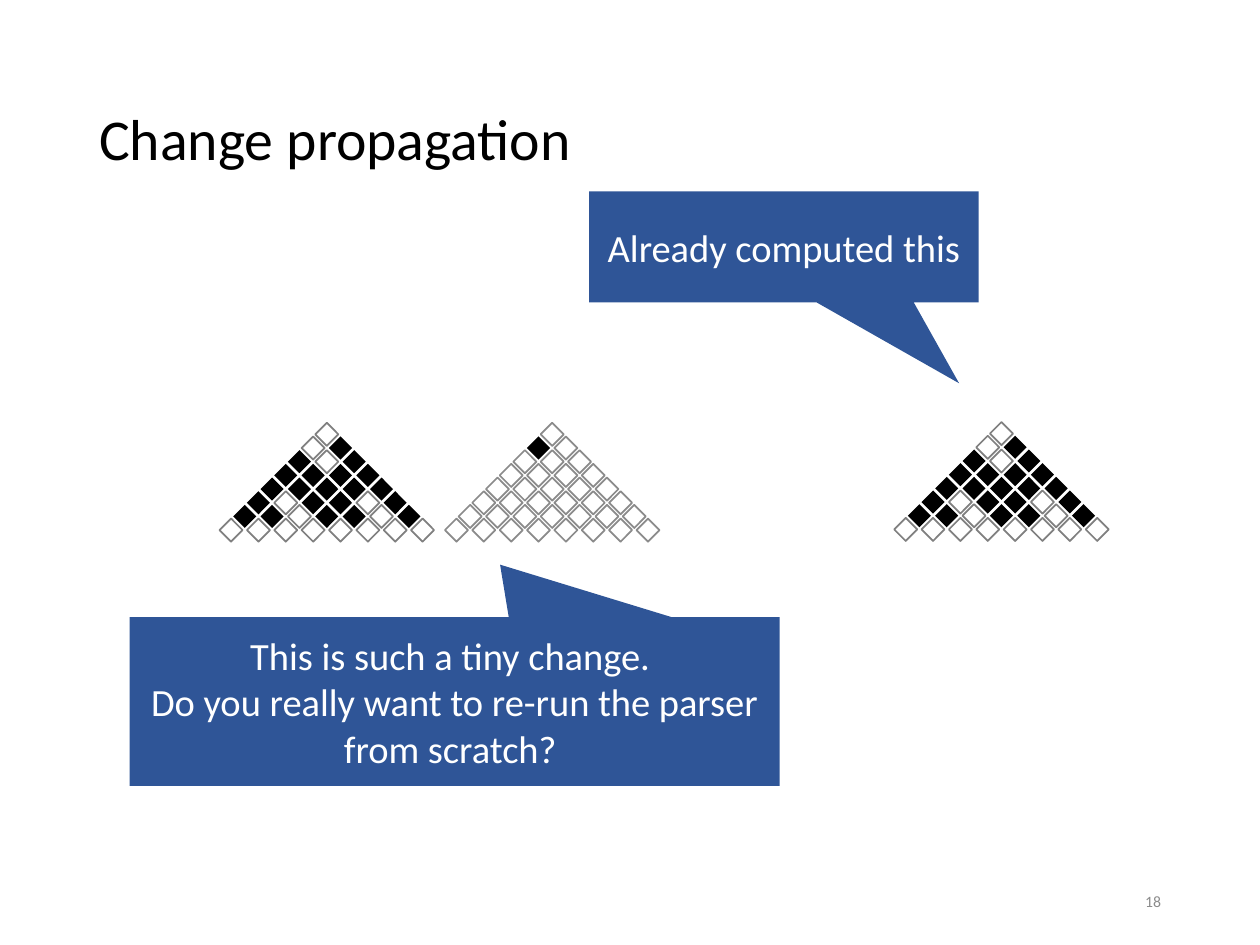
import pptx
import pptx.util
import pptx.dml.color
import pptx.enum.shapes
import pptx.enum.text

Pt = pptx.util.Pt
SHAPE = pptx.enum.shapes.MSO_SHAPE
ALIGN = pptx.enum.text.PP_ALIGN
MIDDLE = pptx.enum.text.MSO_ANCHOR.MIDDLE

COLORS = {
    "black": "000000",
    "white": "FFFFFF",
    "parsed_line": "808080",
    "changed_line": "8B8B8B",
    "callout": "2F5597",
    "number": "8C8C8C",
}

PARSED_ROWS = ["0", "01", "101", "1111", "11111", "101101", "1101101", "00000000"]
CHANGED_ROWS = ["0", "10", "000", "0000", "00000", "000000", "0000000", "00000000"]
CELL = 9.36


def color(name):
    return pptx.dml.color.RGBColor.from_string(COLORS[name])


def place(shape, box):
    for name, value in zip(("left", "top", "width", "height"), box):
        setattr(shape, name, Pt(value))


def write(shape, lines, size, color_name, align, spacing=1.0):
    frame = shape.text_frame
    for name, value in {"word_wrap": True, "vertical_anchor": MIDDLE}.items():
        setattr(frame, name, value)
    frame.text = "\n".join(lines)
    for para in frame.paragraphs:
        for name, value in {"alignment": align, "line_spacing": spacing}.items():
            setattr(para, name, value)
        for span in para.runs:
            for name, value in {"name": "Calibri", "size": Pt(size)}.items():
                setattr(span.font, name, value)
            span.font.color.rgb = color(color_name)


def add_filled(shapes, kind, box, fill):
    shape = shapes.add_shape(kind, *map(Pt, box))
    shape.shadow.inherit = False
    shape.fill.solid()
    shape.fill.fore_color.rgb = color(fill)
    shape.line.fill.background()
    return shape


def add_title(page, box, text):
    title = page.shapes.title
    place(title, box)
    write(title, [text], 33, "black", ALIGN.LEFT, 0.9)


def add_page_number(page, box, text):
    number = page.shapes.add_textbox(*map(Pt, box))
    write(number, [text], 9, "number", ALIGN.RIGHT)


def add_parse_triangle(page, box, rows, line):
    left, top, width, height = box
    column_step = (width - CELL) / (len(rows) - 1)
    row_step = (height - CELL) / (len(rows) - 1)
    apex = left + (width - CELL) / 2
    group = page.shapes.add_group_shape()
    for row, cells in enumerate(rows):
        for column, state in enumerate(cells):
            x = apex + (column - row / 2) * column_step
            y = top + row * row_step
            filled = state == "1"
            cell = add_filled(group.shapes, SHAPE.RECTANGLE, (x, y, CELL, CELL),
                              "black" if filled else "white")
            cell.rotation = 315
            if not filled:
                cell.line.color.rgb = color(line)
                cell.line.width = Pt(1)


def add_callout(page, box, lines, tip):
    callout = add_filled(page.shapes, SHAPE.RECTANGULAR_CALLOUT, box, "callout")
    for index, value in enumerate(tip):
        callout.adjustments[index] = value
    write(callout, lines, 22, "white", ALIGN.CENTER)


def main():
    deck = pptx.Presentation()
    deck.slide_width, deck.slide_height = Pt(720), Pt(540)
    page = deck.slides.add_slide(deck.slide_layouts[5])

    add_title(page, (49.5, 28.8, 621, 104.4), "Change propagation")
    add_page_number(page, (508.5, 500.5, 162, 28.8), "18")

    triangles = [
        (512.9, 243.1, PARSED_ROWS, "parsed_line"),
        (127.4, 243.5, PARSED_ROWS, "parsed_line"),
        (256.2, 243.5, CHANGED_ROWS, "changed_line"),
    ]
    for left, top, rows, line in triangles:
        add_parse_triangle(page, (left, top, 118.8, 64.1), rows, line)

    add_callout(page, (336.7, 109.3, 222.5, 63.4),
                ["Already computed this"], (0.45, 1.23))
    add_callout(page, (74.1, 352.6, 371.4, 96.5),
                ["This is such a tiny change. ",
                 "Do you really want to re-run the parser from scratch? "],
                (0.07, -0.81))
    deck.save("out.pptx")


if __name__ == "__main__":
    main()
